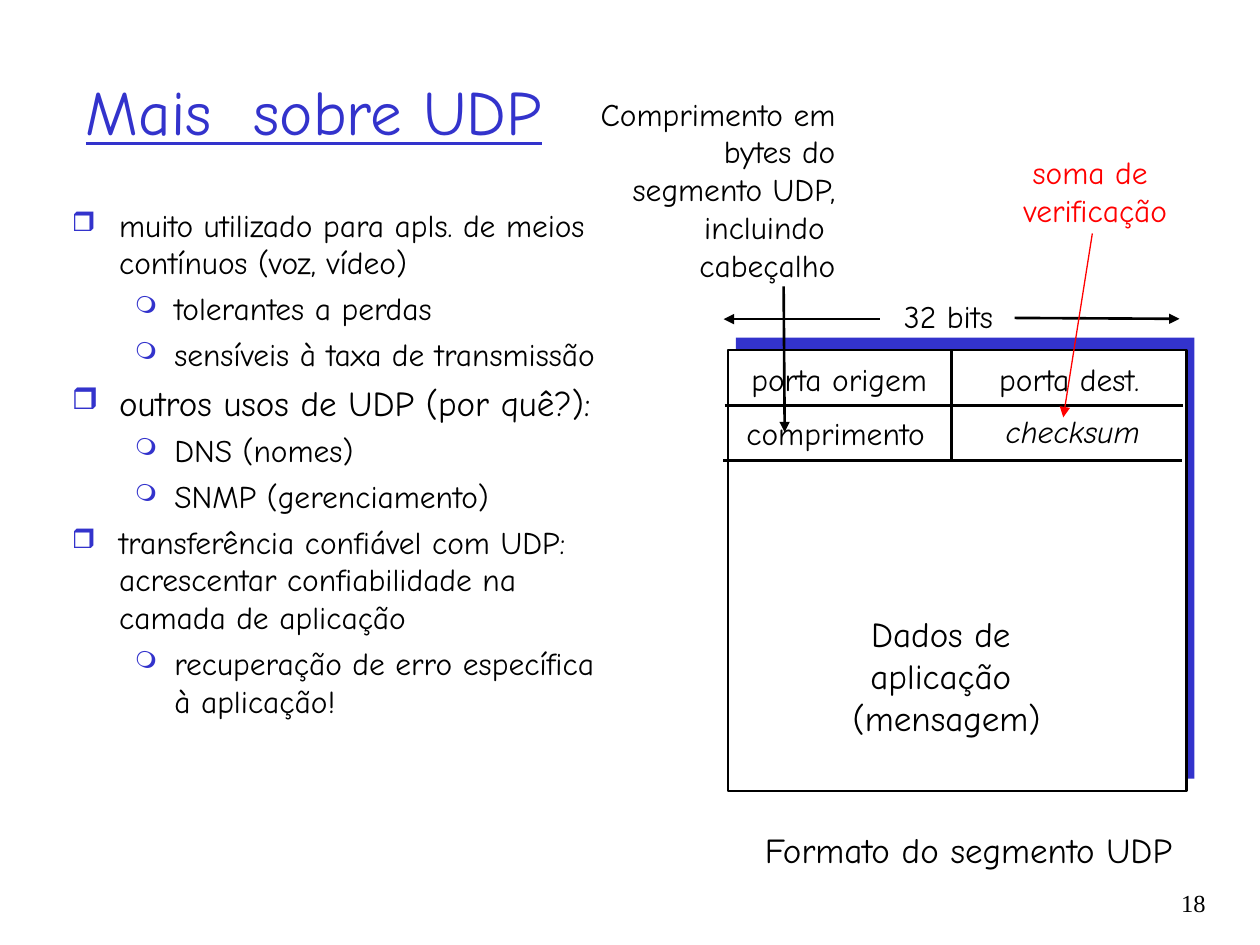
from lxml.etree import SubElement
from pptx import Presentation
from pptx.dml.color import RGBColor
from pptx.enum.shapes import MSO_CONNECTOR, MSO_SHAPE
from pptx.enum.text import MSO_ANCHOR, MSO_AUTO_SIZE, PP_ALIGN
from pptx.oxml.ns import qn
from pptx.util import Pt

BLUE = RGBColor(0x33, 0x33, 0xCC)
BLACK = RGBColor(0, 0, 0)
WHITE = RGBColor(0xFF, 0xFF, 0xFF)
RED = RGBColor(0xFF, 0, 0)
FONT = "Comic Neue"

# Bullet level: character, size in percent, left margin, hanging indent
BULLETS = [("❒", 85, 27, 27), ("❍", 75, 58.5, 22.5)]


def write(para, text, size=18, color=BLACK, font=FONT, italic=False, underline=False):
    """Add one formatted span to a paragraph."""
    span = para.add_run()
    span.text = text
    span.font.name = font
    span.font.size = Pt(size)
    span.font.color.rgb = color
    span.font.italic = italic
    span.font.underline = underline


class SlideBuilder:
    def __init__(self, slide, accent=BLUE, line_width=1.5):
        self.slide = slide
        self.accent = accent
        self.line_width = line_width

    def text(self, left, top, width, height, lines, align=PP_ALIGN.CENTER,
             wrap=False, anchor=MSO_ANCHOR.TOP, **style):
        box = self.slide.shapes.add_textbox(Pt(left), Pt(top), Pt(width), Pt(height))
        frame = box.text_frame
        frame.word_wrap = wrap
        frame.auto_size = MSO_AUTO_SIZE.NONE if wrap else MSO_AUTO_SIZE.SHAPE_TO_FIT_TEXT
        frame.vertical_anchor = anchor
        for index, line in enumerate(lines):
            para = frame.add_paragraph() if index else frame.paragraphs[0]
            para.alignment = align
            write(para, line, **style)

    def bullets(self, left, top, width, height, items):
        box = self.slide.shapes.add_textbox(Pt(left), Pt(top), Pt(width), Pt(height))
        frame = box.text_frame
        frame.word_wrap = True
        for index, (level, text, size) in enumerate(items):
            para = frame.add_paragraph() if index else frame.paragraphs[0]
            self.add_bullet(para, level)
            if index:
                para.space_before = Pt(size / 4)
            write(para, text, size)

    def add_bullet(self, para, level):
        character, percent, margin, hanging = BULLETS[level]
        para.level = level
        properties = para._p.get_or_add_pPr()
        properties.set("marL", str(Pt(margin)))
        properties.set("indent", str(-Pt(hanging)))
        color = SubElement(properties, qn("a:buClr"))
        SubElement(color, qn("a:srgbClr"), val=str(self.accent))
        SubElement(properties, qn("a:buSzPct"), val=str(percent * 1000))
        SubElement(properties, qn("a:buChar"), char=character)

    def rectangle(self, left, top, width, height, fill, outline=None):
        shape = self.slide.shapes.add_shape(
            MSO_SHAPE.RECTANGLE, Pt(left), Pt(top), Pt(width), Pt(height))
        shape.shadow.inherit = False
        shape.fill.solid()
        shape.fill.fore_color.rgb = fill
        if outline is None:
            shape.line.fill.background()
        else:
            shape.line.color.rgb = outline
            shape.line.width = Pt(self.line_width)

    def line(self, x1, y1, x2, y2, color=BLACK, width=None, arrow=False):
        connector = self.slide.shapes.add_connector(
            MSO_CONNECTOR.STRAIGHT, Pt(x1), Pt(y1), Pt(x2), Pt(y2))
        connector.line.color.rgb = color
        connector.line.width = Pt(width or self.line_width)
        if arrow:
            SubElement(connector.line._get_or_add_ln(), qn("a:tailEnd"), type="triangle")
        SubElement(connector._element.spPr, qn("a:effectLst"))


def main():
    deck = Presentation()
    deck.slide_width, deck.slide_height = Pt(720), Pt(540)
    page = SlideBuilder(deck.slides.add_slide(deck.slide_layouts[6]))

    # Title and bullet list
    page.text(42, 18, 657, 90, ["Mais  sobre UDP"], align=PP_ALIGN.LEFT, wrap=True,
              anchor=MSO_ANCHOR.MIDDLE, size=36, color=BLUE, underline=True)
    page.bullets(34, 114, 326, 366, [
        (0, "muito utilizado para apls. de meios contínuos (voz, vídeo)", 18),
        (1, "tolerantes a perdas", 18),
        (1, "sensíveis à taxa de transmissão", 18),
        (0, "outros usos de UDP (por quê?):", 20),
        (1, "DNS (nomes)", 18),
        (1, "SNMP (gerenciamento)", 18),
        (0, "transferência confiável com UDP: acrescentar confiabilidade "
            "na camada de aplicação", 18),
        (1, "recuperação de erro específica à aplicação!", 18),
    ])

    # Segment frame with its offset backing
    page.rectangle(420.5, 193, 262, 252, BLUE)
    page.rectangle(416, 200, 262, 252, WHITE, BLACK)

    # Header rows: rules, divider and field names
    page.line(414, 231.8, 676, 231.8)
    page.line(413.3, 263, 675.3, 263)
    for top in (200, 232.5):
        page.line(543.7, top + 31, 543.7, top)
    page.text(422, 202, 115, 29, ["porta origem"])
    page.text(559, 202, 104, 29, ["porta dest."])
    page.text(419, 233, 117, 29, ["comprimento"])
    page.text(563, 232, 100, 29, ["checksum"], italic=True)

    # Payload and caption
    page.text(480, 346.5, 122, 79, ["Dados de ", "aplicação ", "(mensagem)"], size=20)
    page.text(428.5, 470, 250, 32, ["Formato do segmento UDP"], size=20)

    # Width measure
    page.text(502, 166, 80, 29, ["32 bits"])
    page.line(579.8, 181.7, 674, 182.2, arrow=True)
    page.line(502.6, 182.4, 413.5, 182.4, arrow=True)

    # Field notes with pointers
    page.text(335.5, 50.5, 149, 115,
              ["Comprimento em", "bytes do", "segmento UDP,", "incluindo ", "cabeçalho"],
              align=PP_ALIGN.RIGHT)
    page.line(447.8, 163.7, 448.4, 247, arrow=True)
    page.line(624.2, 133.4, 607.6, 238.5, color=RED, width=0.75, arrow=True)
    page.text(576, 84, 100, 50.5, ["soma de ", "verificação"], color=RED)

    # Page number
    page.text(643, 504, 53, 36, ["18"], align=PP_ALIGN.RIGHT, wrap=True,
              size=14, font="Times New Roman")

    deck.save("out.pptx")


if __name__ == "__main__":
    main()
